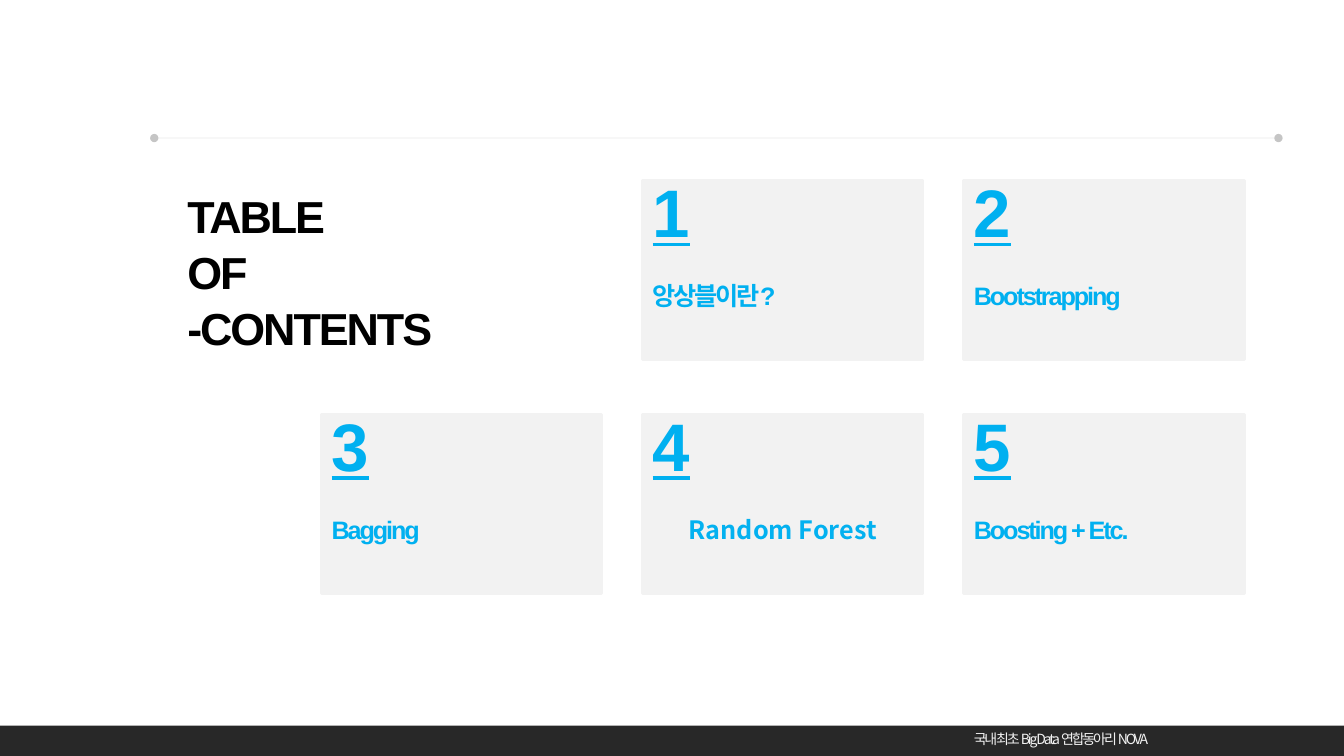
from dataclasses import dataclass

from lxml.etree import SubElement as Sub
from pptx import Presentation as Deck
from pptx.dml.color import RGBColor as Rgb
from pptx.enum.shapes import MSO_CONNECTOR as Conn, MSO_SHAPE as Form
from pptx.enum.text import MSO_ANCHOR as Anchor, PP_ALIGN as Align
from pptx.oxml.ns import qn
from pptx.util import Inches, Pt


@dataclass(frozen=True)
class Theme:
    sans: str = "Arial"
    asian: str = "Noto Sans CJK KR"
    black: str = "000000"
    rule: str = "0D0D0D"
    bar: str = "282828"
    pale: str = "F2F2F2"
    blue: str = "00B0F0"
    sky: str = "03B1F0"
    title: int = 32
    digit: int = 48
    label: int = 18
    foot: int = 10
    tight: int = -150


@dataclass(frozen=True)
class Card:
    num: int
    label: str
    row: int
    col: int
    font: str
    color: str
    track: int
    align: Align = Align.LEFT


T = Theme()
CARDS = [
    Card(1, "앙상블이란?", 0, 1, T.sans, T.blue, T.tight),
    Card(2, "Bootstrapping", 0, 2, T.sans, T.blue, T.tight),
    Card(3, "Bagging", 1, 0, T.sans, T.blue, T.tight),
    Card(4, "Random Forest", 1, 1, T.asian, T.sky, 0, Align.CENTER),
    Card(5, "Boosting + Etc.", 1, 2, T.sans, T.blue, T.tight),
]


def apply(obj, form: dict) -> None:
    for key, val in form.items():
        setattr(obj, key, val)


def write(para, text: str, color: str, track: int, font: dict, form: dict) -> None:
    """Add one styled run to a paragraph."""
    run = para.add_run()
    run.text = text
    apply(run.font, font)
    run.font.color.rgb = Rgb.from_string(color)
    props = run.font._element
    props.set("spc", str(track))
    Sub(props, qn("a:ea")).set("typeface", T.asian)
    apply(para, form)


def block(slide, x: float, y: float, w: float, h: float, color: str):
    """Add a plain filled rectangle."""
    box = slide.shapes.add_shape(
        Form.RECTANGLE, Inches(x), Inches(y), Inches(w), Inches(h))
    box.shadow.inherit = False
    box.fill.solid()
    box.fill.fore_color.rgb = Rgb.from_string(color)
    box.line.fill.background()
    return box


def draw_rule(slide) -> None:
    line = slide.shapes.add_connector(
        Conn.STRAIGHT, Inches(1.53), Inches(1.37), Inches(12.68), Inches(1.37))
    line.line.width = Pt(0.25)
    line.line.color.rgb = Rgb.from_string(T.rule)
    edge = line.line._get_or_add_ln()
    tint = edge.find(".//" + qn("a:srgbClr"))
    Sub(tint, qn("a:alpha")).set("val", "23000")
    for end in ("a:headEnd", "a:tailEnd"):
        Sub(edge, qn(end)).set("type", "oval")
    Sub(line._element.spPr, qn("a:effectLst"))


def draw_title(slide) -> None:
    box = slide.shapes.add_textbox(
        Inches(1.76), Inches(1.8), Inches(3.24), Inches(1.18))
    frame = box.text_frame
    frame.word_wrap = True
    font = {"name": T.sans, "size": Pt(T.title), "bold": True}
    paras = [frame.paragraphs[0], frame.add_paragraph()]
    for para, text in zip(paras, ("TABLE", "OF -CONTENTS")):
        write(para, text, T.black, T.tight, font, {"line_spacing": 1.04})


def draw_foot(slide) -> None:
    block(slide, 0, 7.2, 13.33, 0.3, T.bar)
    box = slide.shapes.add_textbox(
        Inches(9.56), Inches(7.2), Inches(2.07), Inches(0.27))
    frame = box.text_frame
    frame.word_wrap = False
    write(frame.paragraphs[0], "국내 최초 Big Data 연합동아리 NOVA", T.pale,
          T.tight, {"name": T.asian, "size": Pt(T.foot)}, {"alignment": Align.LEFT})


def draw_card(slide, card: Card) -> None:
    box = block(slide, 3.19 + 3.185 * card.col, 1.79 + 2.32 * card.row,
                2.78, 1.78, T.pale)
    box.line.color.rgb = Rgb.from_string(T.pale)
    box.line.width = Pt(2)
    frame = box.text_frame
    apply(frame, {"word_wrap": True, "vertical_anchor": Anchor.TOP,
                  "margin_top": Inches(0.03)})
    write(frame.paragraphs[0], str(card.num), T.blue, T.tight,
          {"name": T.sans, "size": Pt(T.digit), "bold": True, "underline": True},
          {"alignment": Align.LEFT, "line_spacing": Pt(48)})
    write(frame.add_paragraph(), card.label, card.color, card.track,
          {"name": card.font, "size": Pt(T.label), "bold": True},
          {"alignment": card.align, "line_spacing": Pt(22), "space_before": Pt(21)})


def main() -> None:
    deck = Deck()
    apply(deck, {"slide_width": Inches(13.33), "slide_height": Inches(7.5)})
    slide = deck.slides.add_slide(deck.slide_layouts[6])
    # Heading
    draw_rule(slide)
    draw_title(slide)
    # Footer
    draw_foot(slide)
    # Chapter cards
    for card in CARDS:
        draw_card(slide, card)
    deck.save("out.pptx")


if __name__ == "__main__":
    main()
